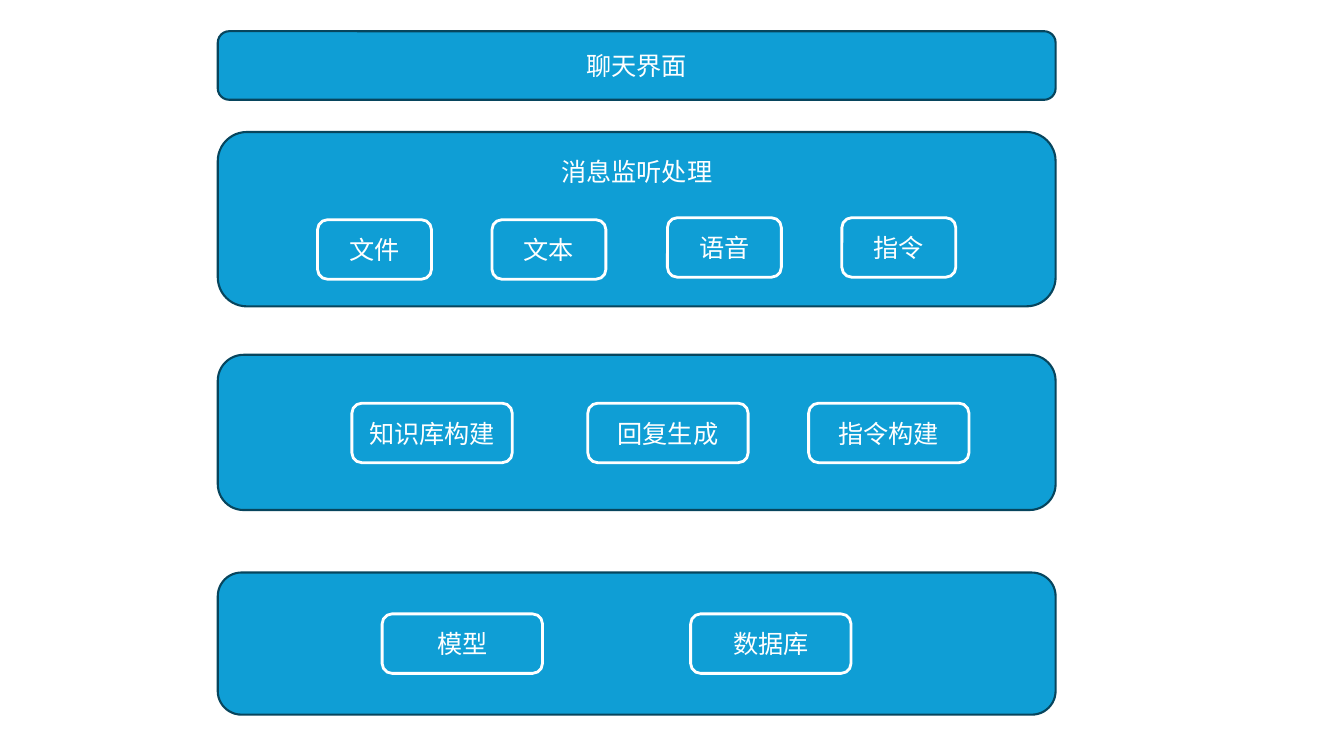
from dataclasses import dataclass

from pptx import Presentation
from pptx.dml.color import RGBColor
from pptx.enum.shapes import MSO_SHAPE
from pptx.enum.text import MSO_ANCHOR, MSO_AUTO_SIZE, PP_ALIGN
from pptx.oxml.xmlchemy import OxmlElement
from pptx.util import Inches, Pt

ROUND = MSO_SHAPE.ROUNDED_RECTANGLE
MIDDLE = MSO_ANCHOR.MIDDLE
GROW = MSO_AUTO_SIZE.SHAPE_TO_FIT_TEXT
CENTER = PP_ALIGN.CENTER


@dataclass(frozen=True)
class Theme:
    """Colours, type and line widths of the slide."""
    blue: RGBColor = RGBColor.from_string("0F9ED5")
    navy: RGBColor = RGBColor.from_string("07455D")
    white: RGBColor = RGBColor.from_string("FFFFFF")
    font: str = "Noto Sans CJK SC"
    size: Pt = Pt(18)
    edge: Pt = Pt(1.5)
    rim: Pt = Pt(2)


THEME = Theme()
LEFT, WIDTH = 2.16, 8.31
HIGH = 0.59
LAYERS = [
    (0.31, 0.68, "聊天界面"),
    (1.31, 1.73, ""),
    (3.52, 1.54, ""),
    (5.68, 1.41, ""),
]
ROWS = [
    (1.13, [(3.15, 2.18, "文件"), (4.88, 2.18, "文本"),
            (6.62, 2.16, "语音"), (8.35, 2.16, "指令")]),
    (1.59, [(3.49, 4, "知识库构建"), (5.83, 4, "回复生成"), (8.02, 4, "指令构建")]),
    (1.59, [(3.79, 6.09, "模型"), (6.85, 6.09, "数据库")]),
]


def assign(item, values):
    """Set each named value on the item."""
    for name, value in values.items():
        setattr(item, name, value)


def write(frame, text, **values):
    """Put centred white text in a frame."""
    assign(frame, {"word_wrap": True, **values})
    para = frame.paragraphs[0]
    para.alignment = CENTER
    run = para.add_run()
    run.text = text
    assign(run.font, {"size": THEME.size, "name": THEME.font})
    run.font.color.rgb = THEME.white
    east = OxmlElement("a:ea")
    east.set("typeface", THEME.font)
    run.font._element.append(east)


def add_box(slide, area, text, color, width):
    """Draw a blue rounded box with an outline and optional text."""
    box = slide.shapes.add_shape(ROUND, *map(Inches, area))
    box.shadow.inherit = False
    box.fill.solid()
    box.fill.fore_color.rgb = THEME.blue
    box.line.color.rgb = color
    box.line.width = width
    if text:
        write(box.text_frame, text, vertical_anchor=MIDDLE)


def add_title(slide, area, text):
    """Add a layer title as a text box."""
    box = slide.shapes.add_textbox(*map(Inches, area))
    write(box.text_frame, text, auto_size=GROW)


def main():
    """Build the layer diagram and save it."""
    deck = Presentation()
    assign(deck, {"slide_width": Inches(13.33), "slide_height": Inches(7.5)})
    slide = deck.slides.add_slide(deck.slide_layouts[6])
    for top, high, text in LAYERS:
        add_box(slide, (LEFT, top, WIDTH, high), text, THEME.navy, THEME.edge)
    add_title(slide, (5.37, 1.5, 1.89, 0.4), "消息监听处理")
    for wide, parts in ROWS:
        for left, top, text in parts:
            add_box(slide, (left, top, wide, HIGH), text, THEME.white, THEME.rim)
    deck.save("out.pptx")


if __name__ == "__main__":
    main()
